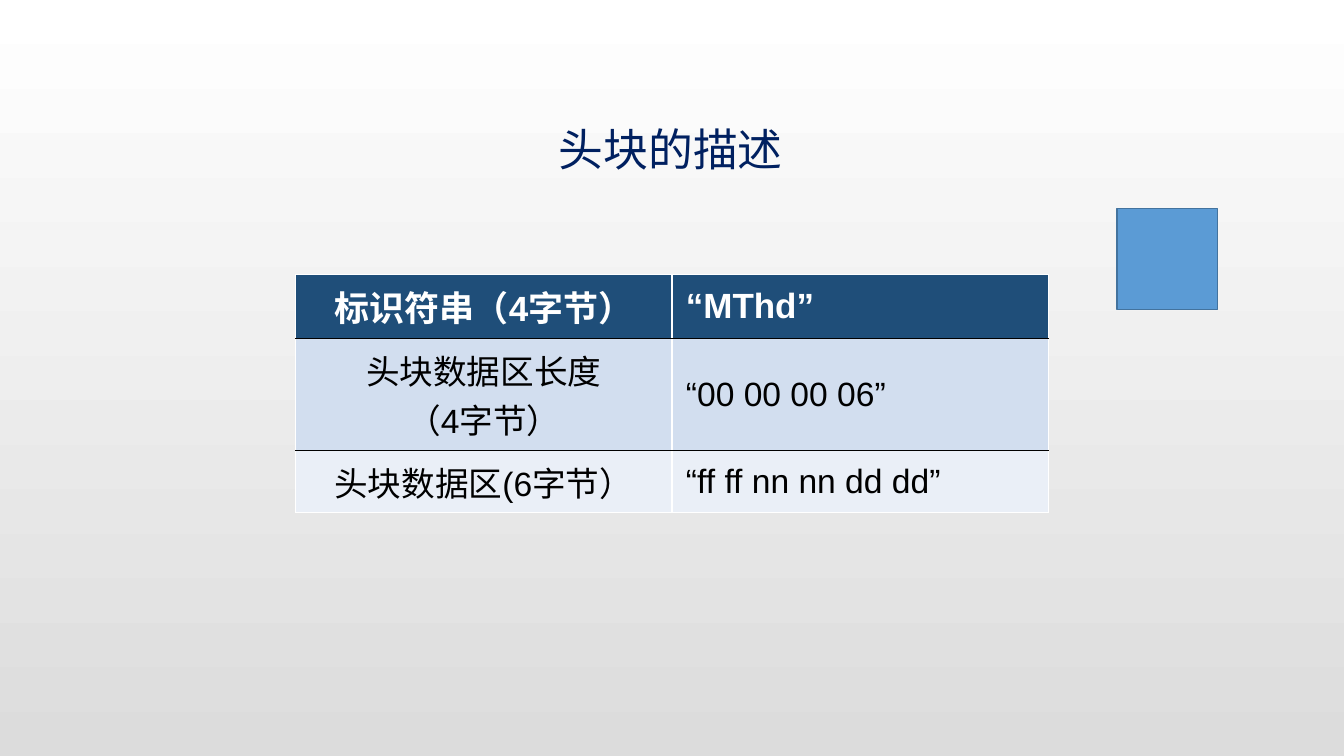
from lxml import etree
from pptx import Presentation
from pptx.dml.color import RGBColor
from pptx.enum import shapes, text
from pptx.oxml.ns import qn
from pptx.util import Pt

FONT = "Arial"
WHITE, BLACK = "FFFFFF", "000000"
# fill, text colour, size, bold, top border, bottom border, height, cell texts
ROWS = [
    ("1F4E79", WHITE, 25, True, WHITE, BLACK, 40.3,
     ("标识符串（4字节）", "“MThd”")),
    ("D2DEEF", BLACK, 24, False, BLACK, BLACK, 67.7,
     ("头块数据区长度\n（4字节）", "“00 00 00 06”")),
    ("EAEFF7", BLACK, 24, False, BLACK, WHITE, 40.3,
     ("头块数据区(6字节）", "“ff ff nn nn dd dd”")),
]


def rgb(value):
    return RGBColor.from_string(value)


def style_font(p, size, color, bold=False):
    f = p.font
    f.name, f.size, f.bold = FONT, Pt(size), bold
    f.color.rgb = rgb(color)


def set_background(s):
    fill = s.background.fill
    fill.gradient()
    fill.gradient_angle = 270
    for stop, color in zip(fill.gradient_stops, (WHITE, "DCDCDC")):
        stop.color.rgb = rgb(color)


def set_borders(cell, top, bottom):
    tcPr = cell._tc.get_or_add_tcPr()
    sides = (("lnL", WHITE), ("lnR", WHITE), ("lnT", top), ("lnB", bottom))
    for i, (side, color) in enumerate(sides):
        ln = etree.Element(qn("a:" + side), w=str(Pt(1)))
        fill = etree.SubElement(ln, qn("a:solidFill"))
        etree.SubElement(fill, qn("a:srgbClr"), val=color)
        tcPr.insert(i, ln)


def add_header_table(s):
    table = s.shapes.add_table(len(ROWS), 2, Pt(211), Pt(195.8),
                               Pt(538), Pt(148.3)).table
    table.horz_banding = False
    for col in table.columns:
        col.width = Pt(269)
    for row, (fill, color, size, bold, top, bottom, height, texts) in zip(table.rows, ROWS):
        row.height = Pt(height)
        for cell, words, align in zip(row.cells, texts, (text.PP_ALIGN.CENTER, text.PP_ALIGN.LEFT)):
            cell.text = words
            cell.vertical_anchor = text.MSO_ANCHOR.MIDDLE
            cell.margin_left = cell.margin_right = Pt(10)
            cell.margin_top = cell.margin_bottom = Pt(5)
            cell.fill.solid()
            cell.fill.fore_color.rgb = rgb(fill)
            set_borders(cell, top, bottom)
            for p in cell.text_frame.paragraphs:
                p.alignment = align
                style_font(p, size, color, bold)


def add_title(s, words):
    tf = s.shapes.add_textbox(Pt(392), Pt(83.5), Pt(177), Pt(46.1)).text_frame
    tf.word_wrap = False
    tf.auto_size = text.MSO_AUTO_SIZE.SHAPE_TO_FIT_TEXT
    p = tf.paragraphs[0]
    p.text = words
    style_font(p, 32, "002060")


def add_square(s):
    sp = s.shapes.add_shape(shapes.MSO_SHAPE.RECTANGLE, Pt(797.8), Pt(149), Pt(72), Pt(72))
    sp.shadow.inherit = False
    sp.fill.solid()
    sp.fill.fore_color.rgb = rgb("5B9BD5")
    sp.line.color.rgb = rgb("43739E")
    sp.line.width = Pt(1)


def main():
    prs = Presentation()
    prs.slide_width, prs.slide_height = Pt(960), Pt(540)
    s = prs.slides.add_slide(prs.slide_layouts[6])
    set_background(s)
    add_header_table(s)
    add_title(s, "头块的描述")
    add_square(s)
    prs.save("out.pptx")


if __name__ == "__main__":
    main()
